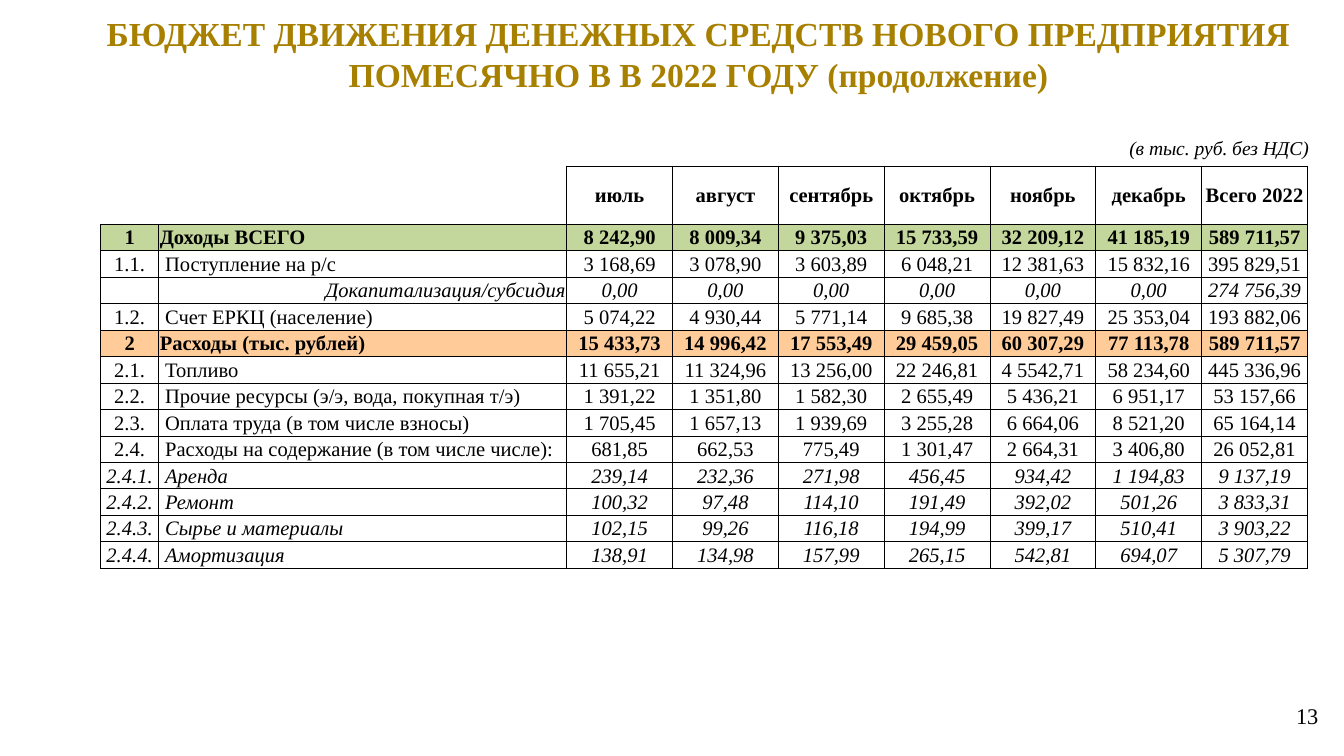
from lxml.etree import SubElement
from pptx import Presentation
from pptx.dml.color import RGBColor
from pptx.enum.text import MSO_ANCHOR as Anchor, MSO_AUTO_SIZE as Fit, PP_ALIGN as Align
from pptx.oxml.ns import qn
from pptx.util import Cm, Pt

BLACK = RGBColor(0x00, 0x00, 0x00)
GOLD = RGBColor(0xA8, 0x80, 0x00)
GREEN = RGBColor(0xC3, 0xD6, 0x9B)
PEACH = RGBColor(0xFF, 0xCC, 0x99)
FACE = "Times New Roman"
TITLE = "БЮДЖЕТ ДВИЖЕНИЯ ДЕНЕЖНЫХ СРЕДСТВ НОВОГО ПРЕДПРИЯТИЯ ПОМЕСЯЧНО В В 2022 ГОДУ (продолжение)"
HEADS = "||июль|август|сентябрь|октябрь|ноябрь|декабрь|Всего 2022"
ROWS = [
    "1|Доходы ВСЕГО|8 242,90|8 009,34|9 375,03|15 733,59|32 209,12|41 185,19|589 711,57",
    "1.1.|Поступление на р/с|3 168,69|3 078,90|3 603,89|6 048,21|12 381,63|15 832,16|395 829,51",
    "|Докапитализация/субсидия|0,00|0,00|0,00|0,00|0,00|0,00|274 756,39",
    "1.2.|Счет ЕРКЦ (население)|5 074,22|4 930,44|5 771,14|9 685,38|19 827,49|25 353,04|193 882,06",
    "2|Расходы (тыс. рублей)|15 433,73|14 996,42|17 553,49|29 459,05|60 307,29|77 113,78|589 711,57",
    "2.1.|Топливо|11 655,21|11 324,96|13 256,00|22 246,81|4 5542,71|58 234,60|445 336,96",
    "2.2.|Прочие ресурсы (э/э, вода, покупная т/э)|1 391,22|1 351,80|1 582,30|2 655,49|5 436,21|6 951,17|53 157,66",
    "2.3.|Оплата труда (в том числе взносы)|1 705,45|1 657,13|1 939,69|3 255,28|6 664,06|8 521,20|65 164,14",
    "2.4.|Расходы на содержание (в том числе числе):|681,85|662,53|775,49|1 301,47|2 664,31|3 406,80|26 052,81",
    "2.4.1.|Аренда|239,14|232,36|271,98|456,45|934,42|1 194,83|9 137,19",
    "2.4.2.|Ремонт|100,32|97,48|114,10|191,49|392,02|501,26|3 833,31",
    "2.4.3.|Сырье и материалы|102,15|99,26|116,18|194,99|399,17|510,41|3 903,22",
    "2.4.4.|Амортизация|138,91|134,98|157,99|265,15|542,81|694,07|5 307,79",
]
FILLS = {"1": GREEN, "2": PEACH}
WIDTHS = [1.1, 7.71] + [2] * 7
HEAD, STEP = 1.1, 0.5


def write(frame, text, size, align, color=BLACK, bold=False, italic=False):
    para = frame.paragraphs[0]
    para.text = text
    para.alignment = align
    font = para.font
    font.name, font.size = FACE, Pt(size)
    font.bold, font.italic = bold, italic
    font.color.rgb = color
    if not text:
        SubElement(para._p, qn("a:endParaRPr"), sz=str(size * 100))


def place(shape, left, top, width, height):
    shape.left, shape.top = Cm(left), Cm(top)
    shape.width, shape.height = Cm(width), Cm(height)


def inset(item, side, edge):
    item.margin_left = item.margin_right = Cm(side)
    item.margin_top = item.margin_bottom = Cm(edge)


def add_title(slide):
    title = slide.shapes.title
    place(title, 1.7, 0.15, 23.01, 1.8)
    frame = title.text_frame
    frame.word_wrap = True
    frame.auto_size = Fit.NONE
    frame.vertical_anchor = Anchor.TOP
    inset(frame, 0.18, 0.1)
    write(frame, TITLE, 18, Align.CENTER, GOLD, bold=True)


def add_label(slide, text, box, size, align, pad, italic=False):
    frame = slide.shapes.add_textbox(*map(Cm, box)).text_frame
    frame.word_wrap = True
    frame.vertical_anchor = Anchor.MIDDLE
    inset(frame, *pad)
    write(frame, text, size, align, italic=italic)


def add_lines(cell, sides):
    props = cell._tc.get_or_add_tcPr()
    for side in "LRTB":
        line = SubElement(props, qn(f"a:ln{side}"), w=str(Pt(0.5)))
        if side in sides:
            fill = SubElement(line, qn("a:solidFill"))
            SubElement(fill, qn("a:srgbClr"), val=str(BLACK))
        else:
            SubElement(line, qn("a:noFill"))


def fill_cell(cell, text, align, sides, color, bold, italic):
    inset(cell, 0.02, 0)
    cell.margin_top = Cm(0.02)
    cell.vertical_anchor = Anchor.MIDDLE
    add_lines(cell, sides)
    if color is None:
        cell.fill.background()
    else:
        cell.fill.solid()
        cell.fill.fore_color.rgb = color
    write(cell.text_frame, text, 11, align, bold=bold, italic=italic)


def add_grid(slide):
    rows = [row.split("|") for row in [HEADS] + ROWS]
    tall = HEAD + STEP * len(ROWS)
    box = map(Cm, (1.9, 3.14, sum(WIDTHS), tall))
    grid = slide.shapes.add_table(len(rows), len(WIDTHS), *box).table
    grid.first_row = grid.horz_banding = False
    for col, width in zip(grid.columns, WIDTHS):
        col.width = Cm(width)
    for r, row in enumerate(rows):
        grid.rows[r].height = Cm(STEP if r else HEAD)
        code = row[0]
        color = FILLS.get(code)
        bold = r == 0 or color is not None
        italic = r > 0 and (not code or code.count(".") == 3)
        for c, text in enumerate(row):
            align = Align.CENTER
            if c == 1:
                align = Align.LEFT if code else Align.RIGHT
            sides = "LRTB" if r or c > 1 else ("B", "RB")[c]
            cell = grid.cell(r, c)
            fill_cell(cell, text, align, sides, color, bold, italic)
            if c == 1 and code and not bold:
                cell.margin_left = Cm(0.12)


def main():
    deck = Presentation()
    deck.slide_width, deck.slide_height = Cm(25.4), Cm(14.29)
    slide = deck.slides.add_slide(deck.slide_layouts[5])
    add_label(slide, "(в тыс. руб. без НДС)", (20.6, 2.44, 4.39, 0.71),
              10.5, Align.RIGHT, (0.25, 0.13), italic=True)
    add_grid(slide)
    add_title(slide)
    add_label(slide, "13", (24.31, 13.13, 0.79, 0.79), 12, Align.CENTER, (0.13, 0.08))
    deck.save("out.pptx")


if __name__ == "__main__":
    main()
